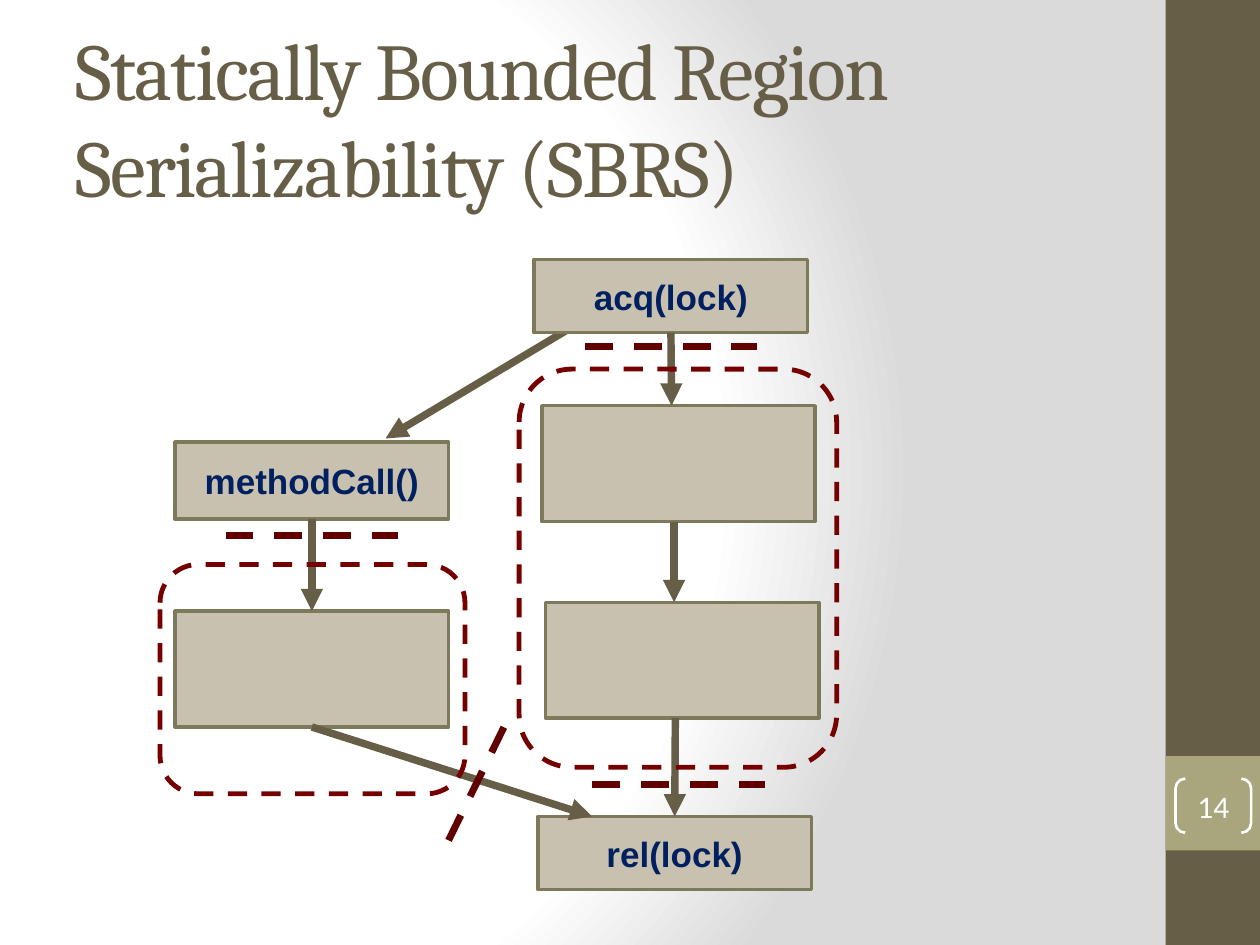
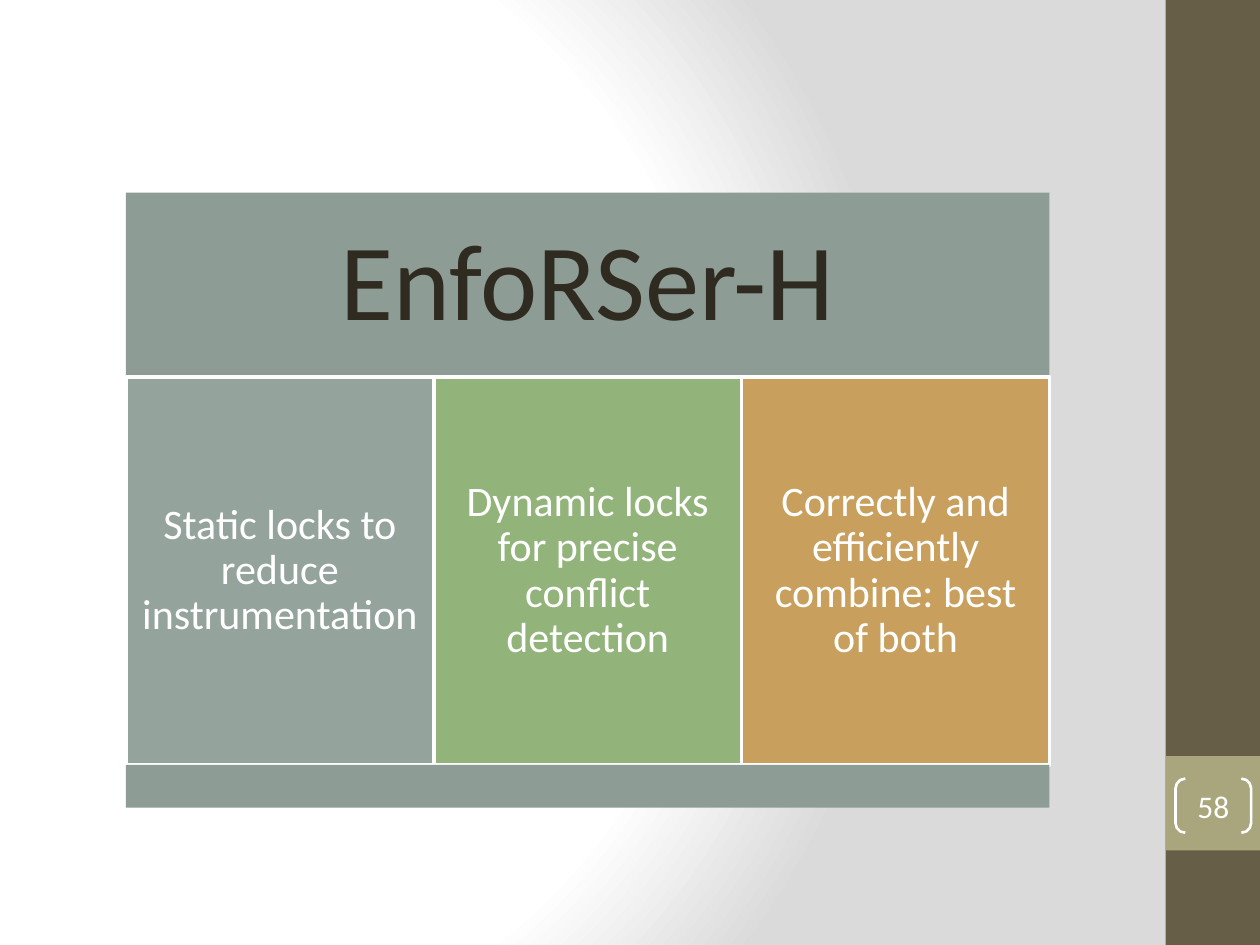
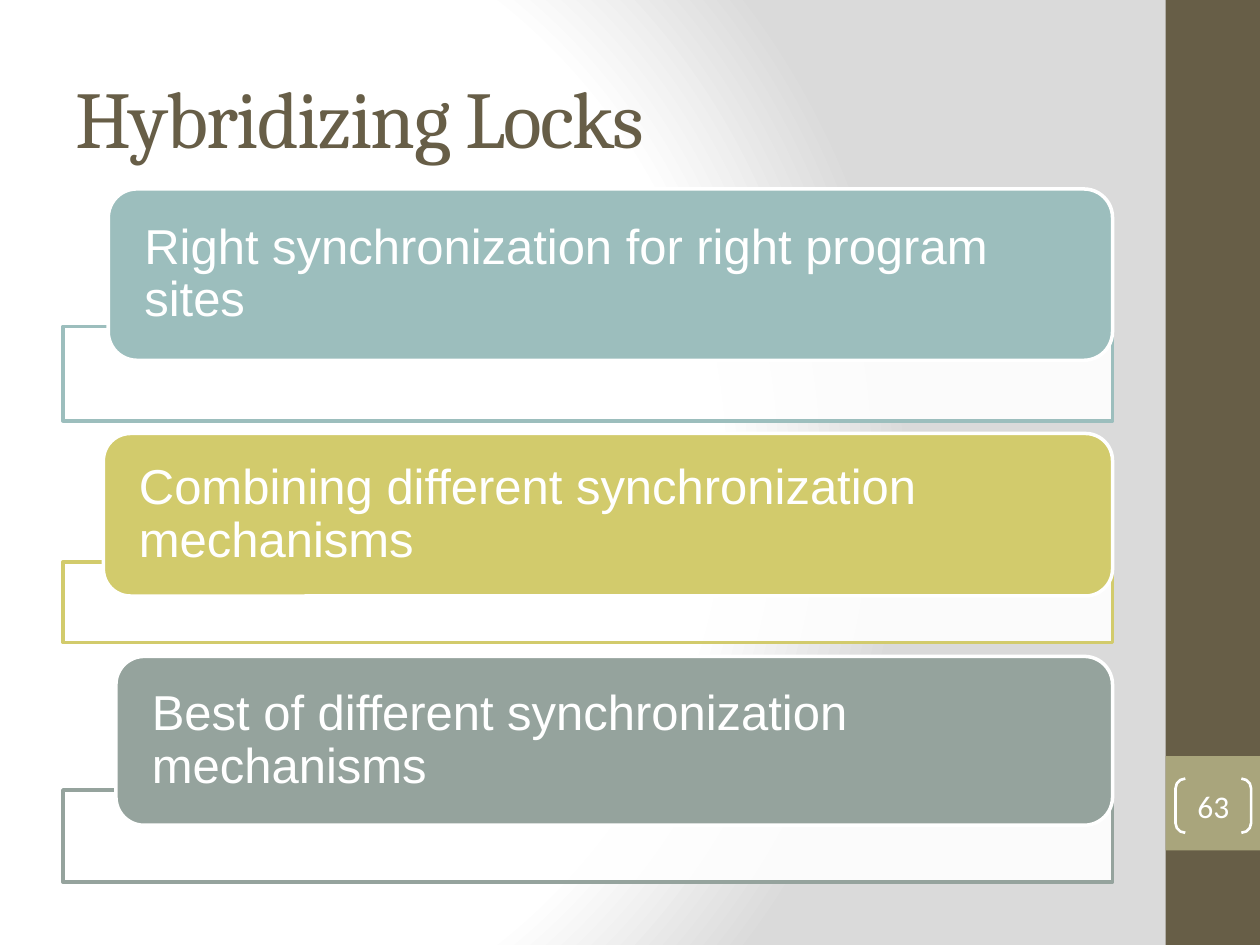
"""Build three slides on region serializability and hybrid locks."""
from typing import Any, NamedTuple, Optional

from lxml import etree
from pptx import Presentation
from pptx import util as u
from pptx.dml.color import RGBColor
from pptx.enum import dml, shapes, text
from pptx.oxml import ns, parse_xml

BROWN = RGBColor(0x67, 0x5E, 0x47)
OLIVE = RGBColor(0xA9, 0xA5, 0x7C)
WHITE = RGBColor(0xFF, 0xFF, 0xFF)
INK = RGBColor(0x2F, 0x2B, 0x20)
NAVY = RGBColor(0x00, 0x20, 0x60)
SAND = RGBColor(0xC8, 0xC1, 0xAF)
BOX_EDGE = RGBColor(0x7D, 0x7A, 0x5C)
REGION_RED = RGBColor(0x74, 0x00, 0x00)
CUT_RED = RGBColor(0x60, 0x00, 0x00)
SLATE = RGBColor(0x8E, 0x9C, 0x96)
SAGE = RGBColor(0x95, 0xA3, 0x9D)
GREEN = RGBColor(0x92, 0xB4, 0x7A)
OCHRE = RGBColor(0xC8, 0x9F, 0x5D)
TEAL = RGBColor(0x9C, 0xBE, 0xBD)
YELLOW = RGBColor(0xD2, 0xCB, 0x6C)

SHAPE = shapes.MSO_SHAPE
DASH = dml.MSO_LINE.DASH
TOP, BOTTOM = 0, 2

BACKGROUND = f"""<a:gradFill {ns.nsdecls("a")} rotWithShape="1"><a:gsLst>
<a:gs pos="0"><a:srgbClr val="FFFFFF"/></a:gs>
<a:gs pos="75000"><a:srgbClr val="FFFFFF"/></a:gs>
<a:gs pos="100000"><a:srgbClr val="DADADA"/></a:gs></a:gsLst>
<a:path path="circle"><a:fillToRect l="20000" t="50000" r="100000" b="50000"/></a:path>
</a:gradFill>"""


class Area(NamedTuple):
    """Left, top, width and height in inches."""
    left: float
    top: float
    width: float
    height: float


class Stroke(NamedTuple):
    """Colour, width in points and dash of a line."""
    color: RGBColor
    width: float
    dash: Optional[dml.MSO_LINE] = None


class Label(NamedTuple):
    """Font and paragraph format of a text."""
    font: str
    size: float
    color: RGBColor
    bold: bool = False
    align: text.PP_ALIGN = text.PP_ALIGN.CENTER
    spacing: float = 1.0
    margins: tuple[float, float] = (0.1, 0.05)


class Box(NamedTuple):
    """One node of the control-flow graph."""
    name: str
    area: Area
    caption: str = ""


class Arrow(NamedTuple):
    """An arrow with the boxes it is joined to."""
    start: tuple[float, float]
    end: tuple[float, float]
    source: str = ""
    target: str = ""


class Row(NamedTuple):
    """One heading pill with the frame behind it."""
    caption: str
    color: RGBColor
    pill: Area
    frame_top: float
    frame_height: float


TITLE = Label("Cambria", 46, BROWN, align=text.PP_ALIGN.LEFT)
NUMBER = Label("Calibri", 18, WHITE, margins=(0, 0))
CODE = Label("Arial", 20, NAVY, bold=True)
HEADER = Label("Calibri", 62, INK, spacing=0.9, margins=(0.26, 0.26))
COLUMN = Label("Calibri", 24, WHITE, spacing=0.9, margins=(0.1, 0.1))
PILL = Label("Arial", 28, WHITE, align=text.PP_ALIGN.LEFT, spacing=0.9, margins=(0.22, 0))

FLOW = Stroke(BROWN, 4.25)
CUT = Stroke(CUT_RED, 4, DASH)
WHITE_EDGE = Stroke(WHITE, 2)

BANDS = ((Area(9.25, 0, 0.75, 7.5), BROWN), (Area(9.25, 6, 0.75, 0.75), OLIVE))
BOX_W, BLOCK_H = 2.17, 0.92
BOXES = (
    Box("acquire", Area(4.24, 2.06, BOX_W, 0.58), "acq(lock)"),
    Box("call", Area(1.39, 3.51, BOX_W, 0.61), "methodCall()"),
    Box("call body", Area(1.39, 4.85, BOX_W, BLOCK_H)),
    Box("first block", Area(4.3, 3.22, BOX_W, BLOCK_H)),
    Box("second block", Area(4.33, 4.78, BOX_W, BLOCK_H)),
    Box("release", Area(4.27, 6.48, BOX_W, 0.58), "rel(lock)"),
)
BRANCH = Arrow((4.7, 2.5), (3.06, 3.48))
ARROWS = (
    Arrow((2.47, 5.77), (4.7, 6.48), source="call body"),
    Arrow((2.47, 4.12), (2.47, 4.85), "call", "call body"),
    Arrow((5.35, 4.14), (5.35, 4.78)),
    Arrow((5.36, 5.7), (5.36, 6.48), target="release"),
    Arrow((5.33, 2.64), (5.33, 3.22), source="acquire"),
)
REGIONS = (Area(1.27, 4.48, 2.42, 1.82), Area(4.12, 2.93, 2.52, 3.16))
CUTS = (
    ((1.79, 4.25), (3.16, 4.25)),
    ((4.7, 6.23), (6.07, 6.23)),
    ((4.64, 2.75), (6.01, 2.75)),
    ((3.56, 6.67), (4, 5.77)),
)
COLUMNS = (
    ("Static locks to reduce instrumentation", SAGE),
    ("Dynamic locks for precise conflict detection", GREEN),
    ("Correctly and efficiently combine: best of both", OCHRE),
)
ROWS = (
    Row("Right synchronization for right program sites", TEAL,
        Area(0.86, 1.5, 7.97, 1.36), 2.59, 0.75),
    Row("Combining different synchronization mechanisms", YELLOW,
        Area(0.82, 3.44, 8.01, 1.29), 4.46, 0.64),
    Row("Best of different synchronization mechanisms", SAGE,
        Area(0.92, 5.21, 7.91, 1.34), 6.27, 0.73),
)


def assign(target: Any, values: dict[str, Any]) -> None:
    """Set each named attribute of the target."""
    for name, value in values.items():
        setattr(target, name, value)


def place(sp: Any, area: Area) -> None:
    """Move and size a shape."""
    assign(sp, {name: u.Inches(value) for name, value in area._asdict().items()})


def set_stroke(line: Any, stroke: Stroke) -> None:
    """Format a line."""
    line.color.rgb = stroke.color
    line.width = u.Pt(stroke.width)
    if stroke.dash:
        line.dash_style = stroke.dash


def write(sp: Any, caption: str, label: Label, wrap: bool = True) -> Any:
    """Write a one-paragraph text and return its run."""
    tf = sp.text_frame
    side, edge = (u.Inches(m) for m in label.margins)
    assign(tf, {"word_wrap": wrap, "auto_size": text.MSO_AUTO_SIZE.NONE,
                "vertical_anchor": text.MSO_ANCHOR.MIDDLE,
                "margin_left": side, "margin_right": side,
                "margin_top": edge, "margin_bottom": edge})
    p = tf.paragraphs[0]
    assign(p, {"alignment": label.align, "line_spacing": label.spacing})
    r = p.add_run()
    r.text = caption
    assign(r.font, {"name": label.font, "size": u.Pt(label.size), "bold": label.bold})
    r.font.color.rgb = label.color
    return r


def add_shape(s: Any, kind: shapes.MSO_SHAPE, area: Area,
              fill: Optional[RGBColor] = None, stroke: Optional[Stroke] = None) -> Any:
    """Add a flat preset shape."""
    sp = s.shapes.add_shape(kind, *(u.Inches(v) for v in area))
    sp.shadow.inherit = False
    if fill is None:
        sp.fill.background()
    else:
        sp.fill.solid()
        sp.fill.fore_color.rgb = fill
    if stroke is None:
        sp.line.fill.background()
    else:
        set_stroke(sp.line, stroke)
    return sp


def add_line(s: Any, start: tuple[float, float], end: tuple[float, float],
             stroke: Stroke, head: bool = False) -> Any:
    """Add a straight line, with an arrowhead at its end if asked."""
    line = s.shapes.add_connector(shapes.MSO_CONNECTOR.STRAIGHT,
                                  *(u.Inches(v) for v in start + end))
    set_stroke(line.line, stroke)
    sp_pr = line.element.spPr
    if head:
        etree.SubElement(sp_pr.find(ns.qn("a:ln")), ns.qn("a:tailEnd"), type="triangle")
    etree.SubElement(sp_pr, ns.qn("a:effectLst"))
    return line


def add_arrow(s: Any, arrow: Arrow, nodes: dict[str, Any]) -> None:
    """Add an arrow and join it to its boxes."""
    line = add_line(s, arrow.start, arrow.end, FLOW, head=True)
    if arrow.source:
        line.begin_connect(nodes[arrow.source], BOTTOM)
    if arrow.target:
        line.end_connect(nodes[arrow.target], TOP)


def style_master(prs: Any, s: Any) -> None:
    """Give the master its background and side bands, drawn by way of a slide."""
    master = prs.slide_master
    master.background.fill.solid()
    solid = master.element.find(".//" + ns.qn("p:bgPr")).find(ns.qn("a:solidFill"))
    solid.getparent().replace(solid, parse_xml(BACKGROUND))
    for i, (area, color) in enumerate(BANDS):
        band = add_shape(s, SHAPE.RECTANGLE, area, color).element
        band.find(".//" + ns.qn("p:cNvPr")).set("id", str(100 + i))
        master.shapes.element.insert(2 + i, band)


def new_slide(prs: Any, number: int, title: str = "") -> Any:
    """Add a slide with its number and, if given, its title."""
    s = prs.slides.add_slide(prs.slide_layouts[5 if title else 6])
    if title:
        place(s.shapes.title, Area(0.5, 0.3, 8.33, 1.25))
        r = write(s.shapes.title, title, TITLE)
        r.font.element.set("spc", "-100") if hasattr(r.font, "element") else \
            r._r.get_or_add_rPr().set("spc", "-100")
    bracket = add_shape(s, SHAPE.DOUBLE_BRACKET, Area(9.33, 6.18, 0.6, 0.43),
                        stroke=Stroke(WHITE, 1.5))
    bracket.adjustments[0] = 0.18
    write(bracket, str(number), NUMBER, wrap=False)
    return s


def draw_regions(s: Any) -> None:
    """Draw the control-flow graph with its bounded regions."""
    add_arrow(s, BRANCH, {})
    nodes = {}
    for box in BOXES:
        sp = add_shape(s, SHAPE.RECTANGLE, box.area, SAND, Stroke(BOX_EDGE, 2))
        nodes[box.name] = sp
        if box.caption:
            write(sp, box.caption, CODE)
    for arrow in ARROWS:
        add_arrow(s, arrow, nodes)
    for area in REGIONS:
        add_shape(s, SHAPE.ROUNDED_RECTANGLE, area, stroke=Stroke(REGION_RED, 2.75, DASH))
    for start, end in CUTS:
        add_line(s, start, end, CUT)


def draw_columns(s: Any) -> None:
    """Draw the header, three columns and base."""
    left, width = 1, 7.33
    header = add_shape(s, SHAPE.RECTANGLE, Area(left, 1.53, width, 1.47), SLATE)
    write(header, "EnfoRSer-H", HEADER)
    step = width / len(COLUMNS)
    for i, (caption, color) in enumerate(COLUMNS):
        area = Area(left + i * step, 2.99, step, 3.08)
        write(add_shape(s, SHAPE.RECTANGLE, area, color, WHITE_EDGE), caption, COLUMN)
    add_shape(s, SHAPE.RECTANGLE, Area(left, 6.07, width, 0.34), SLATE)


def draw_rows(s: Any) -> None:
    """Draw each pill over its translucent frame."""
    for row in ROWS:
        frame = add_shape(s, SHAPE.RECTANGLE, Area(0.5, row.frame_top, 8.33, row.frame_height),
                          WHITE, Stroke(row.color, 2))
        tint = frame.element.spPr.find(ns.qn("a:solidFill"))[0]
        etree.SubElement(tint, ns.qn("a:alpha"), val="90000")
        pill = add_shape(s, SHAPE.ROUNDED_RECTANGLE, row.pill, row.color, WHITE_EDGE)
        write(pill, row.caption, PILL)


def main() -> None:
    """Build and save the presentation."""
    prs = Presentation()
    prs.slide_width, prs.slide_height = u.Inches(10), u.Inches(7.5)
    s = new_slide(prs, 14, "Statically Bounded Region Serializability (SBRS)")
    style_master(prs, s)
    draw_regions(s)
    draw_columns(new_slide(prs, 58))
    draw_rows(new_slide(prs, 63, "Hybridizing Locks"))
    prs.save("out.pptx")


if __name__ == "__main__":
    main()
